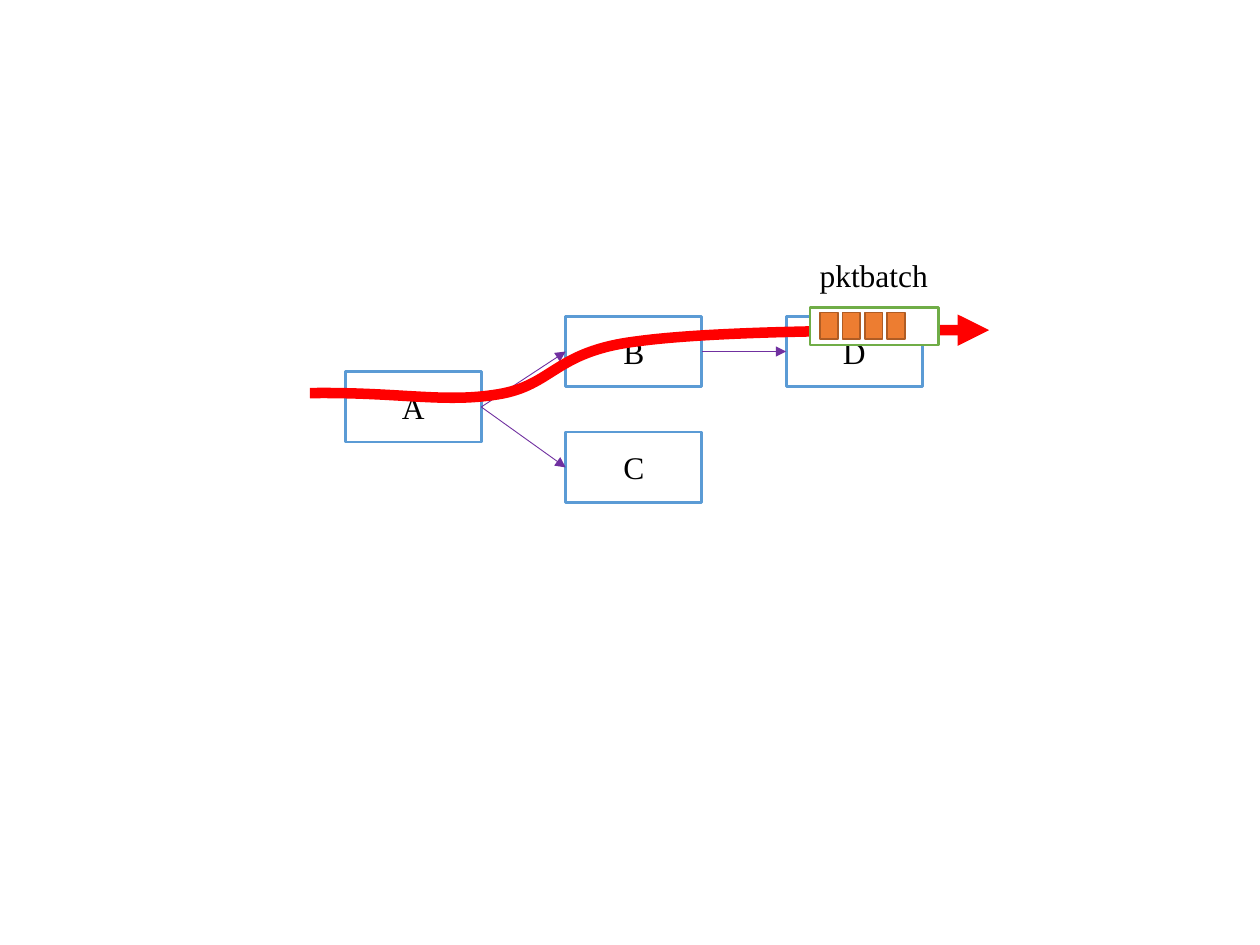
from dataclasses import dataclass

from lxml import etree
from pptx import Presentation
from pptx.dml.color import RGBColor
from pptx.enum.shapes import MSO_CONNECTOR, MSO_SHAPE
from pptx.enum.text import MSO_ANCHOR, MSO_AUTO_SIZE, PP_ALIGN
from pptx.oxml.ns import qn
from pptx.util import Inches, Pt

RECT = MSO_SHAPE.RECTANGLE
STRAIGHT = MSO_CONNECTOR.STRAIGHT
MIDDLE = MSO_ANCHOR.MIDDLE
CENTER = PP_ALIGN.CENTER
FIT_SHAPE = MSO_AUTO_SIZE.SHAPE_TO_FIT_TEXT
LEFT_SITE, RIGHT_SITE = 1, 3


@dataclass(frozen=True)
class Theme:
    font: str = "Times New Roman"
    size: float = 18
    text: str = "000000"
    paper: str = "FFFFFF"
    node: str = "5B9BD5"
    link: str = "7030A0"
    flow: str = "FF0000"
    batch: str = "70AD47"
    packet: str = "ED7D31"
    packet_line: str = "AF5C24"


THEME = Theme()
NODE_SIZE = (1.08, 0.56)
NODES = {"A": (2.74, 2.95), "B": (4.49, 2.51), "D": (6.24, 2.51), "C": (4.49, 3.43)}
LINKS = [("A", "B"), ("A", "C"), ("B", "D")]
FLOW = [
    (2.46, 3.12),
    (3.17, 3.11), (3.52, 3.2), (3.95, 3.13),
    (4.39, 3.06), (4.4, 2.79), (5.05, 2.71),
    (5.7, 2.62), (7.47, 2.62), (7.85, 2.62),
]


def write_text(sp, text, size=THEME.size, color=THEME.text, align=CENTER, wrap=True):
    tf = sp.text_frame
    tf.word_wrap = wrap
    tf.vertical_anchor = MIDDLE
    p = tf.paragraphs[0]
    p.alignment = align
    r = p.add_run()
    r.text = text
    r.font.name = THEME.font
    r.font.size = Pt(size)
    r.font.color.rgb = RGBColor.from_string(color)


def style_line(sp, color, width, arrow=False):
    sp.line.color.rgb = RGBColor.from_string(color)
    sp.line.width = Pt(width)
    if arrow:
        ln = sp.line._get_or_add_ln()
        etree.SubElement(ln, qn("a:tailEnd"), type="triangle")


def add_box(shapes, x, y, w, h, fill, line, width):
    sp = shapes.add_shape(RECT, Inches(x), Inches(y), Inches(w), Inches(h))
    sp.shadow.inherit = False
    sp.fill.solid()
    sp.fill.fore_color.rgb = RGBColor.from_string(fill)
    style_line(sp, line, width)
    return sp


def add_node(shapes, name, x, y):
    sp = add_box(shapes, x, y, *NODE_SIZE, THEME.paper, THEME.node, 1.5)
    write_text(sp, name)
    return sp


def add_link(shapes, source, target):
    cxn = shapes.add_connector(STRAIGHT, 0, 0, 0, 0)
    cxn.begin_connect(source, RIGHT_SITE)
    cxn.end_connect(target, LEFT_SITE)
    style_line(cxn, THEME.link, 0.5, arrow=True)
    etree.SubElement(cxn._element.spPr, qn("a:effectLst"))


def add_curve(shapes, points, color, width):
    start, *rest = [(Inches(x), Inches(y)) for x, y in points]
    builder = shapes.build_freeform(*start)
    builder.add_line_segments(rest, close=False)
    sp = builder.convert_to_shape()
    outline = sp._element.find(".//" + qn("a:path"))
    lines = outline.findall(qn("a:lnTo"))
    for i in range(0, len(lines), 3):
        bezier = etree.SubElement(outline, qn("a:cubicBezTo"))
        for line in lines[i:i + 3]:
            bezier.append(line[0])
            outline.remove(line)
    sp.shadow.inherit = False
    sp.fill.background()
    style_line(sp, color, width, arrow=True)


def add_batch(shapes, x, y, packets=4):
    group = shapes.add_group_shape()
    add_box(group.shapes, x, y, 1.02, 0.3, THEME.paper, THEME.batch, 1.5)
    for i in range(packets):
        add_box(group.shapes, x + 0.08 + i * 0.177, y + 0.04, 0.14, 0.21,
                THEME.packet, THEME.packet_line, 1)


def add_label(shapes, text, x, y, w, h):
    sp = shapes.add_textbox(Inches(x), Inches(y), Inches(w), Inches(h))
    write_text(sp, text, wrap=False)
    sp.text_frame.auto_size = FIT_SHAPE


def main():
    prs = Presentation()
    prs.slide_width, prs.slide_height = Inches(10), Inches(7.5)
    s = prs.slides.add_slide(prs.slide_layouts[6])
    nodes = {name: add_node(s.shapes, name, *at) for name, at in NODES.items()}
    for source, target in LINKS:
        add_link(s.shapes, nodes[source], nodes[target])
    add_curve(s.shapes, FLOW, THEME.flow, 6)
    add_batch(s.shapes, 6.43, 2.44)
    add_label(s.shapes, "pktbatch", 6.4, 1.98, 1.07, 0.4)
    prs.save("out.pptx")


main()
